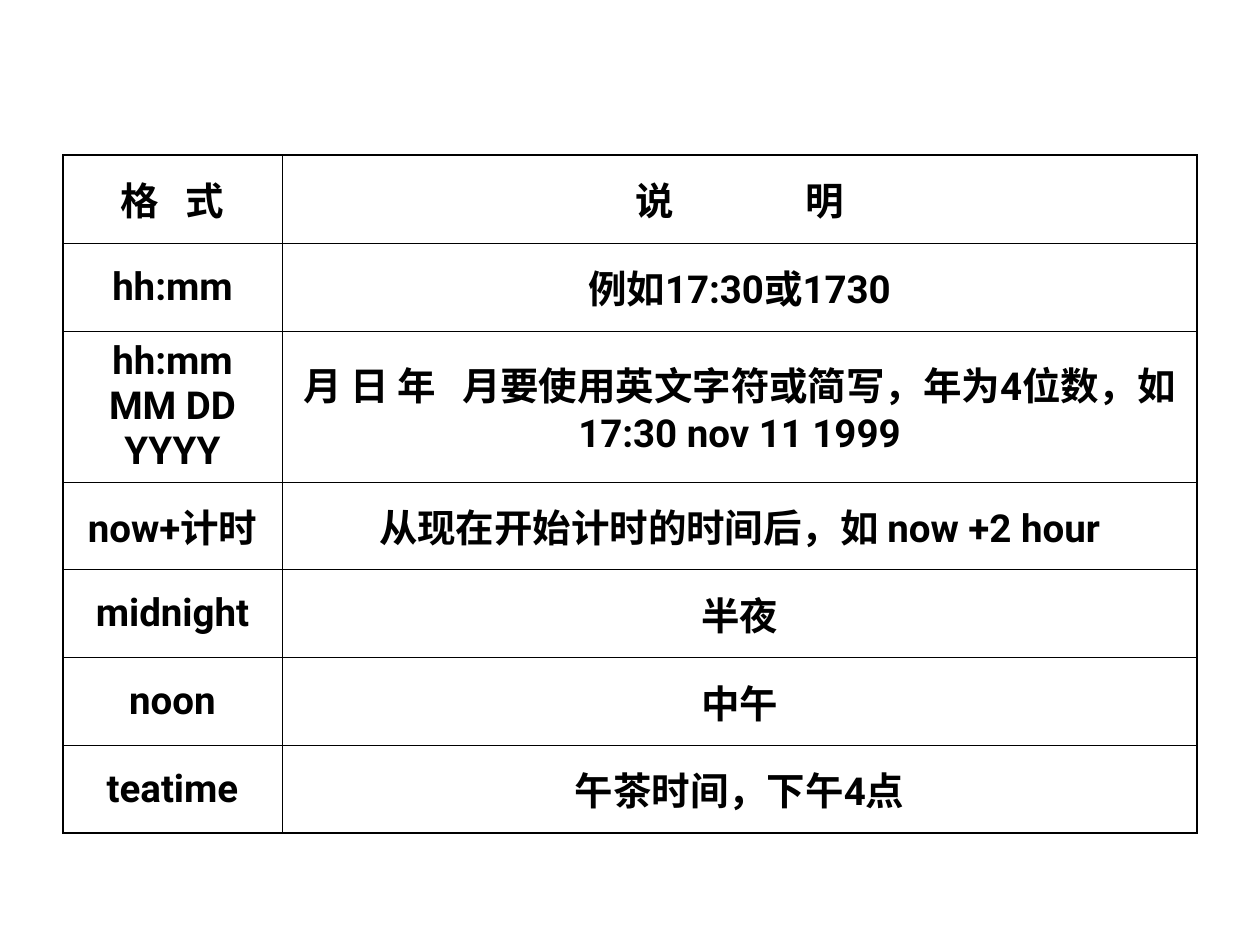
from pptx import Presentation
from pptx.dml.color import RGBColor as Rgb
from pptx.enum.text import MSO_ANCHOR as Anchor, PP_ALIGN as Align
from pptx.util import Pt
from pptx.oxml.ns import qn
from lxml.etree import SubElement as Sub

SCALE = 914400 / 126  # EMU per px
BLACK = Rgb(0, 0, 0)
THIN, THICK = 0.45, 1.08

# Each "|" is a wide space; the last item gives its extra width in points
ROWS = [
    (88, ("格|式", 10), ("说|明", 70)),
    (88, ("hh:mm", 0), ("例如17:30或1730", 0)),
    (151, ("hh:mm MM DD YYYY", 0),
     ("月 日 年|月要使用英文字符或简写，年为4位数，如 17:30 nov 11 1999", 10)),
    (88, ("now+计时", 0), ("从现在开始计时的时间后，如 now +2 hour", 0)),
    (88, ("midnight", 0), ("半夜", 0)),
    (88, ("noon", 0), ("中午", 0)),
    (87, ("teatime", 0), ("午茶时间，下午4点", 0)),
]
COLS = [219, 915]


def px(num):
    return round(num * SCALE)


def write(frame, text, gap=0, size=22, font="Roboto", color=BLACK, bold=True):
    """Fill a text frame with one centred paragraph."""
    para = frame.paragraphs[0]
    para.alignment = Align.CENTER
    para.space_before = Pt(5.5)
    for part in text.replace("|", "\n \n").split("\n"):
        run = para.add_run()
        run.text = part
        style = run.font
        style.size, style.name, style.bold = Pt(size), font, bold
        style.color.rgb = color
        if part == " ":
            run._r.get_or_add_rPr().set("spc", str(gap * 100))


class Deck:
    def __init__(self, wide, high):
        self.prs = Presentation()
        self.prs.slide_width, self.prs.slide_height = px(wide), px(high)
        self.slide = self.prs.slides.add_slide(self.prs.slide_layouts[6])

    def edge(self, cell, side, width):
        line = Sub(cell._tc.get_or_add_tcPr(), qn("a:ln" + side),
                   w=str(Pt(width)))
        fill = Sub(line, qn("a:solidFill"))
        Sub(fill, qn("a:srgbClr"), val=str(BLACK))

    def table(self, left, top, cols, rows):
        high = sum(row[0] for row in rows)
        grid = self.slide.shapes.add_table(
            len(rows), len(cols), px(left), px(top), px(sum(cols)), px(high)
        ).table
        grid.first_row = grid.horz_banding = False
        for col, wide in zip(grid.columns, cols):
            col.width = px(wide)
        for i, (tall, *texts) in enumerate(rows):
            grid.rows[i].height = px(tall)
            for j, (text, gap) in enumerate(texts):
                cell = grid.cell(i, j)
                cell.vertical_anchor = Anchor.MIDDLE
                # Thick outer frame, thin inner lines
                outer = {"L": j == 0, "R": j == len(cols) - 1,
                         "T": i == 0, "B": i == len(rows) - 1}
                for side, thick in outer.items():
                    self.edge(cell, side, THICK if thick else THIN)
                cell.fill.background()
                write(cell.text_frame, text, gap=gap)


def main():
    deck = Deck(1260, 945)
    # Table of time formats
    deck.table(63, 155, COLS, ROWS)
    deck.prs.save("out.pptx")


if __name__ == "__main__":
    main()
